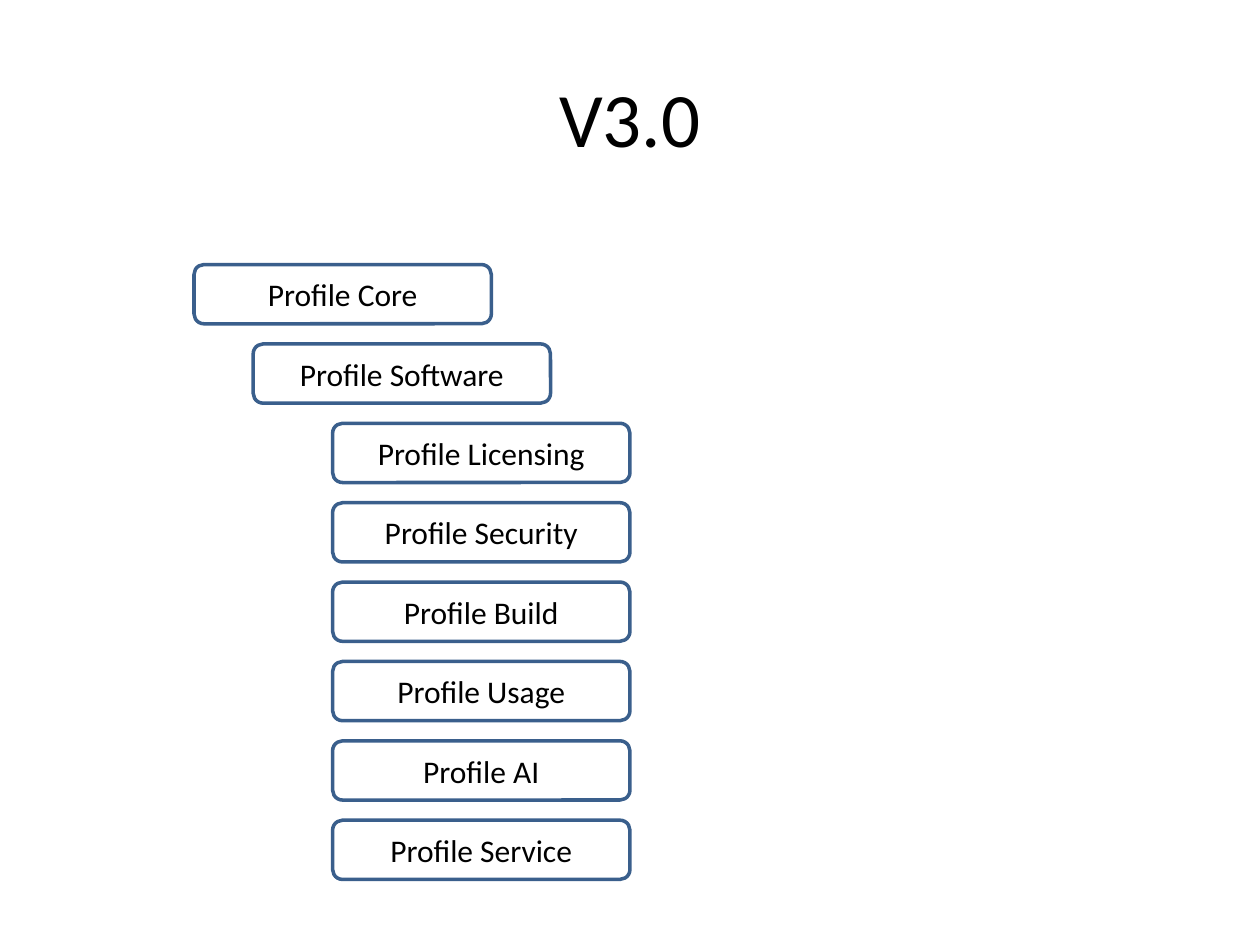
from dataclasses import dataclass

from pptx import Presentation
from pptx.dml.color import RGBColor
from pptx.enum.shapes import MSO_SHAPE as Shape
from pptx.enum.text import MSO_ANCHOR as Anchor, PP_ALIGN as Align
from pptx.util import Inches, Pt


@dataclass(frozen=True)
class Theme:
    """Colours, font and type sizes of the slide."""
    font: str = "Calibri"
    text: RGBColor = RGBColor(0x00, 0x00, 0x00)
    outline: RGBColor = RGBColor(0x3A, 0x5F, 0x8C)
    outline_width: Pt = Pt(2)
    title_size: Pt = Pt(44)
    label_size: Pt = Pt(18)


THEME = Theme()
INDENTS = (0, 0.47, 1.1)  # left offset of each profile level, in inches
PROFILES = (
    ("Profile Core", 0),
    ("Profile Software", 1),
    ("Profile Licensing", 2),
    ("Profile Security", 2),
    ("Profile Build", 2),
    ("Profile Usage", 2),
    ("Profile AI", 2),
    ("Profile Service", 2),
)


def write_text(shape, text, size):
    """Write one centred line of text into a shape."""
    frame = shape.text_frame
    frame.text = text
    frame.word_wrap = True
    frame.vertical_anchor = Anchor.MIDDLE
    para = frame.paragraphs[0]
    para.alignment = Align.CENTER
    para.font.name = THEME.font
    para.font.size = size
    para.font.color.rgb = THEME.text


def add_title(page, text, left, top, width, height):
    """Place the title placeholder in the given box."""
    title = page.shapes.title
    title.left, title.top = Inches(left), Inches(top)
    title.width, title.height = Inches(width), Inches(height)
    write_text(title, text, THEME.title_size)


def add_profile(shapes, text, left, top, width, height):
    """Add one outlined, rounded profile box."""
    box = shapes.add_shape(Shape.ROUNDED_RECTANGLE, Inches(left), Inches(top),
                           Inches(width), Inches(height))
    box.shadow.inherit = False
    box.fill.background()
    box.line.color.rgb = THEME.outline
    box.line.width = THEME.outline_width
    write_text(box, text, THEME.label_size)


def add_profile_tree(page, left, top, box_width=2.36, box_height=0.47, step=0.63):
    """Stack the profiles as one group, indented by level."""
    group = page.shapes.add_group_shape()
    for row, (name, level) in enumerate(PROFILES):
        add_profile(group.shapes, name, left + INDENTS[level], top + row * step,
                    box_width, box_height)


deck = Presentation()
deck.slide_width, deck.slide_height = Inches(10), Inches(7.5)
page = deck.slides.add_slide(deck.slide_layouts.get_by_name("Title Only"))
add_title(page, "V3.0", 0.5, 0.3, 9, 1.25)
add_profile_tree(page, 1.54, 2.1)
deck.save("out.pptx")
